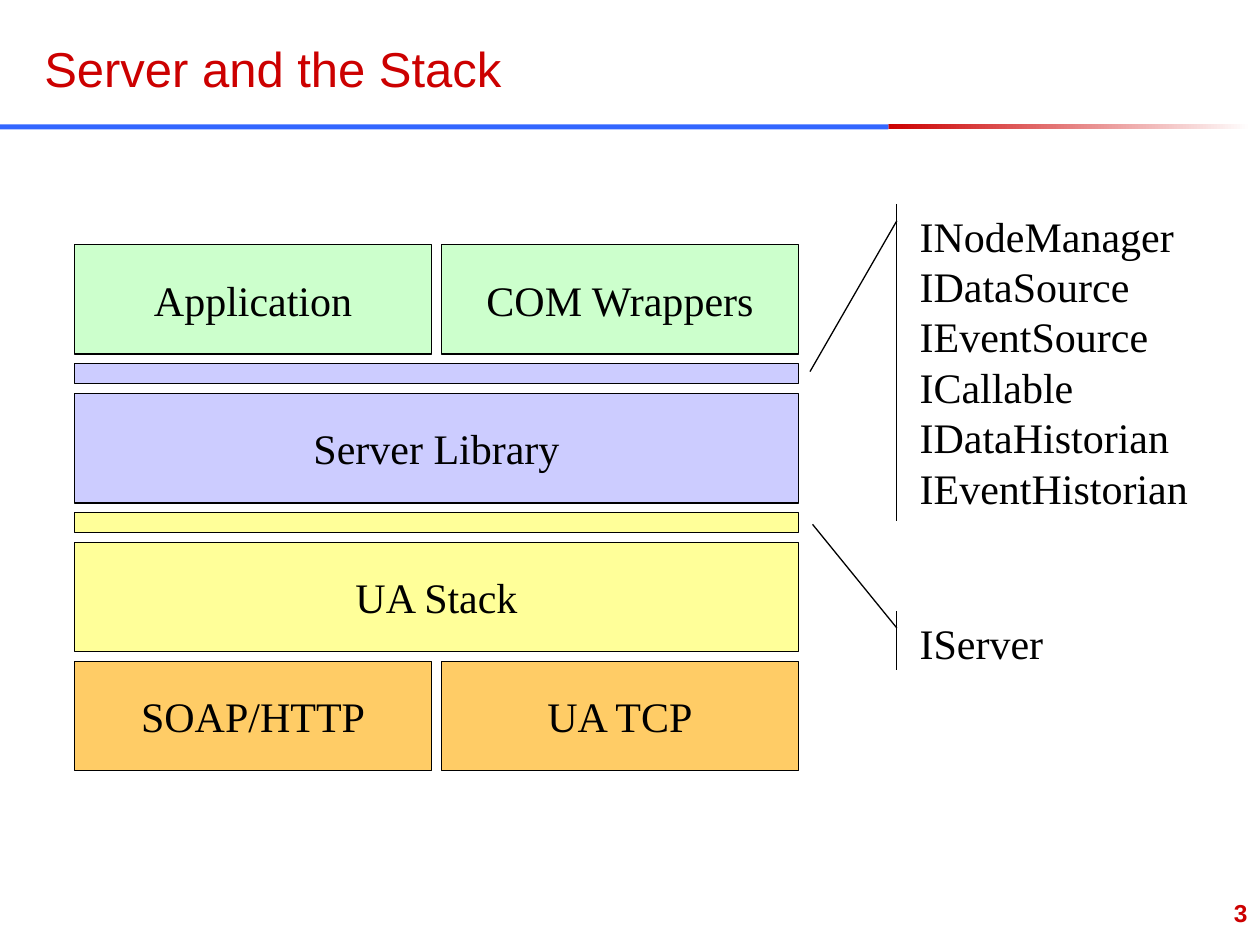
from lxml.etree import SubElement
from pptx import Presentation
from pptx.dml.color import RGBColor
from pptx.enum.shapes import MSO_CONNECTOR as Connector, MSO_SHAPE as Shape
from pptx.enum.text import MSO_ANCHOR as Anchor, PP_ALIGN as Align
from pptx.oxml.ns import qn
from pptx.util import Cm, Pt

BLACK = RGBColor(0x00, 0x00, 0x00)
WHITE = RGBColor(0xFF, 0xFF, 0xFF)
RED = RGBColor(0xCC, 0x00, 0x00)
BLUE = RGBColor(0x33, 0x66, 0xFF)
GREEN = RGBColor(0xCC, 0xFF, 0xCC)
LILAC = RGBColor(0xCC, 0xCC, 0xFF)
YELLOW = RGBColor(0xFF, 0xFF, 0x99)
ORANGE = RGBColor(0xFF, 0xCC, 0x66)

# Stack geometry, in centimetres
STACK_LEFT, STACK_TOP, STACK_WIDTH = 1.5, 4.93, 14.6
LAYER_HEIGHT, INTERFACE_HEIGHT, GAP = 2.21, 0.41, 0.19

# Layers from top to bottom: colour and labels (no label marks an interface)
LAYERS = [
    (GREEN, ["Application", "COM Wrappers"]),
    (LILAC, [""]),
    (LILAC, ["Server Library"]),
    (YELLOW, [""]),
    (YELLOW, ["UA Stack"]),
    (ORANGE, ["SOAP/HTTP", "UA TCP"]),
]

# Callout geometry, in centimetres
BAR_LEFT, CALLOUT_LEFT, CALLOUT_WIDTH, LEADER_DROP = 18.08, 18.29, 6.42, 0.34


def write_text(frame, text, *, size=24, font="Times New Roman", color=BLACK,
               bold=False, align=Align.LEFT, anchor=Anchor.TOP, wrap=True,
               line_spacing=None):
    """Fill a text frame with one paragraph per line of text."""
    frame.word_wrap = wrap
    frame.vertical_anchor = anchor
    for index, line in enumerate(text.split("\n")):
        para = frame.paragraphs[0] if index == 0 else frame.add_paragraph()
        para.alignment = align
        para.line_spacing = line_spacing
        span = para.add_run()
        span.text = line
        span.font.size = Pt(size)
        span.font.name = font
        span.font.bold = bold
        span.font.color.rgb = color


def add_box(page, left, top, width, height, color):
    box = page.shapes.add_shape(
        Shape.RECTANGLE, Cm(left), Cm(top), Cm(width), Cm(height))
    box.shadow.inherit = False
    box.fill.solid()
    box.fill.fore_color.rgb = color
    box.line.fill.background()
    return box


def add_layer_box(page, left, top, width, height, color, label):
    box = add_box(page, left, top, width, height, color)
    box.line.color.rgb = BLACK
    box.line.width = Pt(0.75)
    if label:
        write_text(box.text_frame, label, align=Align.CENTER,
                   anchor=Anchor.MIDDLE, wrap=False)


def add_line(page, start_x, start_y, end_x, end_y):
    line = page.shapes.add_connector(
        Connector.STRAIGHT, Cm(start_x), Cm(start_y), Cm(end_x), Cm(end_y))
    line.line.color.rgb = BLACK
    line.line.width = Pt(0.75)
    SubElement(line._element.spPr, qn("a:effectLst"))


def add_textbox(page, left, top, width, height, text, **text_format):
    box = page.shapes.add_textbox(Cm(left), Cm(top), Cm(width), Cm(height))
    write_text(box.text_frame, text, **text_format)


def add_stack(page):
    top = STACK_TOP
    for color, labels in LAYERS:
        height = LAYER_HEIGHT if labels[0] else INTERFACE_HEIGHT
        width = (STACK_WIDTH - GAP * (len(labels) - 1)) / len(labels)
        for column, label in enumerate(labels):
            left = STACK_LEFT + column * (width + GAP)
            add_layer_box(page, left, top, width, height, color, label)
        top += height + GAP


def add_callout(page, top, height, target_x, target_y, text):
    """Text beside an accent bar, with a leader to the interface it lists."""
    add_line(page, target_x, target_y, BAR_LEFT, top + LEADER_DROP)
    add_line(page, BAR_LEFT, top, BAR_LEFT, top + height)
    add_textbox(page, CALLOUT_LEFT, top, CALLOUT_WIDTH, height, text,
                line_spacing=Pt(28.8))


def add_title_band(page):
    fade = add_box(page, 17.91, 2.51, 7.31, 0.1, RED)
    fade.fill.gradient()
    fade.fill.gradient_angle = 0
    for stop, color in zip(fade.fill.gradient_stops, (RED, WHITE)):
        stop.color.rgb = color
    add_box(page, 0, 2.51, 17.91, 0.1, BLUE)

    title = page.shapes.title
    title.left, title.top = Cm(0.64), Cm(0.64)
    title.width, title.height = Cm(17.35), Cm(1.47)
    write_text(title.text_frame, "Server and the Stack",
               size=28, font="Arial", color=RED)


def main():
    deck = Presentation()
    deck.slide_width, deck.slide_height = Cm(25.4), Cm(19.05)
    page = deck.slides.add_slide(deck.slide_layouts[5])

    add_title_band(page)
    add_stack(page)

    # Interfaces offered by the library and by the stack
    add_callout(page, 4.11, 6.4, 16.33, 7.49,
                "INodeManager\nIDataSource\nIEventSource\n"
                "ICallable\nIDataHistorian\nIEventHistorian")
    add_callout(page, 12.32, 1.19, 16.38, 10.57, "IServer")

    # Page number
    add_textbox(page, 20.12, 17.98, 5.28, 1.07, "3", size=14, font="Arial",
                color=RED, bold=True, align=Align.RIGHT)

    deck.save("out.pptx")


if __name__ == "__main__":
    main()
